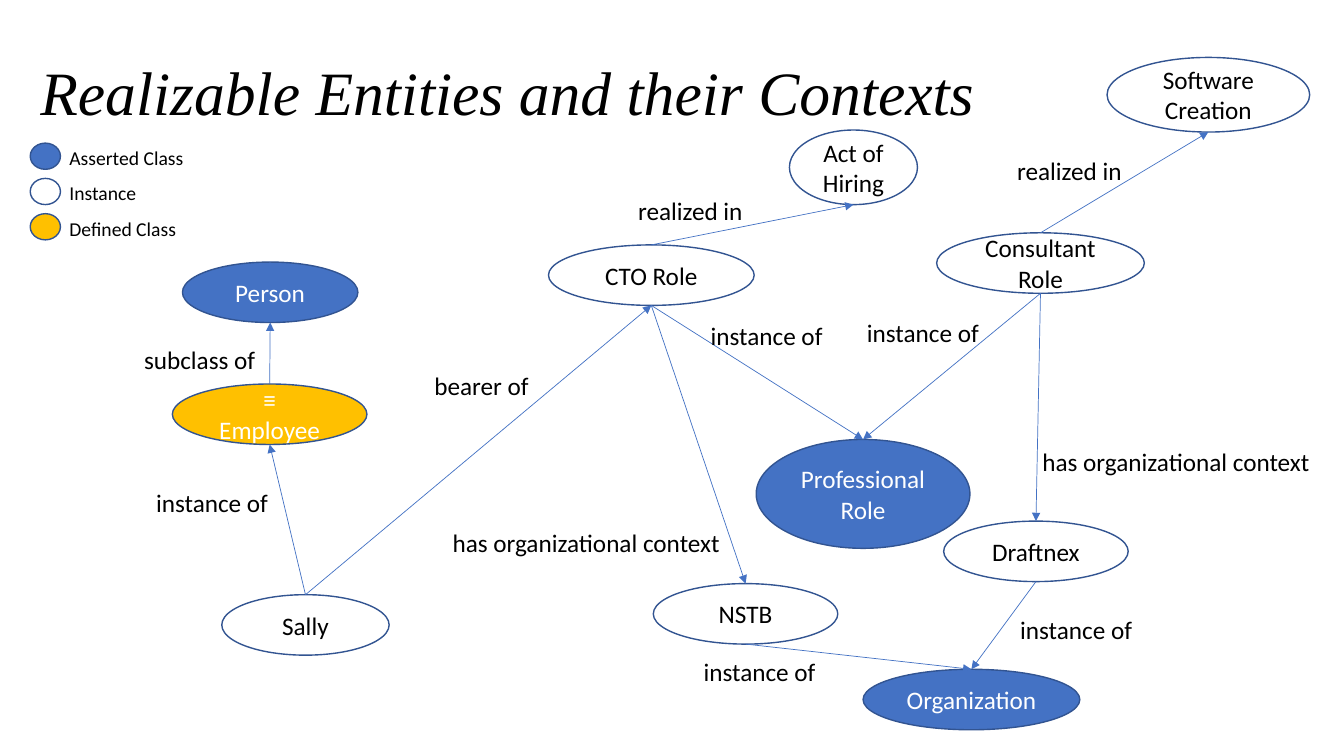
import pptx
import pptx.util
import pptx.dml.color
import pptx.enum.shapes
import pptx.enum.text
import pptx.oxml
import pptx.oxml.ns
from dataclasses import dataclass

Inches, Pt = pptx.util.Inches, pptx.util.Pt
RGB = pptx.dml.color.RGBColor.from_string
ALIGN, ANCHOR = pptx.enum.text.PP_ALIGN, pptx.enum.text.MSO_ANCHOR


@dataclass(frozen=True)
class Theme:
    asserted: str = "4472C4"
    instance: str = "FFFFFF"
    defined: str = "FFC000"
    outline: str = "325491"
    arrow: str = "4472C4"
    dark: str = "000000"
    light: str = "FFFFFF"
    title_font: str = "Times New Roman"
    body_font: str = "Calibri"
    title_size: int = 44
    body_size: int = 18
    legend_size: int = 14


T = Theme()

# Node name: fill, left, top, width, height
NODES = {
    "Sally": (T.instance, 2.2, 5.9, 1.66, 0.6),
    "≡ Employee": (T.defined, 1.71, 3.81, 1.93, 0.6),
    "Person": (T.asserted, 1.81, 2.6, 1.74, 0.6),
    "CTO Role": (T.instance, 5.44, 2.43, 2.04, 0.6),
    "Professional Role": (T.asserted, 7.5, 4.36, 2.12, 1.08),
    "Consultant Role": (T.instance, 9.29, 2.31, 2.06, 0.6),
    "NSTB": (T.instance, 6.48, 5.79, 1.83, 0.6),
    "Draftnex": (T.instance, 9.36, 5.17, 1.83, 0.6),
    "Organization": (T.asserted, 8.56, 6.64, 2.15, 0.6),
    "Software Creation": (T.instance, 10.98, 0.57, 2.01, 0.74),
    "Act of Hiring": (T.instance, 7.83, 1.29, 1.27, 0.74),
}

# Relation: source, target, label, label left, label top
RELATIONS = [
    ("Sally", "≡ Employee", "instance of", 1.45, 4.79),
    ("Sally", "CTO Role", "bearer of", 4.21, 3.62),
    ("≡ Employee", "Person", "subclass of", 1.33, 3.37),
    ("CTO Role", "Professional Role", "instance of", 6.95, 3.13),
    ("CTO Role", "NSTB", "has organizational context", 4.39, 5.18),
    ("CTO Role", "Act of Hiring", "realized in", 6.23, 1.89),
    ("Consultant Role", "Professional Role", "instance of", 8.5, 3.1),
    ("Consultant Role", "Draftnex", "has organizational context", 10.24, 4.38),
    ("Consultant Role", "Software Creation", "realized in", 9.99, 1.49),
    ("Draftnex", "Organization", "instance of", 10.02, 6.05),
    ("NSTB", "Organization", "instance of", 6.88, 6.46),
]

LABEL_WIDTHS = {"instance of": 1.33, "bearer of": 1.15, "subclass of": 1.32,
                "realized in": 1.25, "has organizational context": 2.88}

# Legend entry: name, fill, text width
LEGEND = [("Asserted Class", T.asserted, 1.34),
          ("Instance", T.instance, 0.87),
          ("Defined Class", T.defined, 1.27)]


def set_text(tf, text, size=T.body_size, font=T.body_font, color=T.dark,
             italic=False, align=ALIGN.LEFT, anchor=ANCHOR.TOP, wrap=True):
    tf.word_wrap = wrap
    tf.vertical_anchor = anchor
    p = tf.paragraphs[0]
    p.alignment = align
    r = p.add_run()
    r.text = text
    r.font.size, r.font.name, r.font.italic = Pt(size), font, italic
    r.font.color.rgb = RGB(color)


def add_label(s, text, x, y, w, h, size=T.body_size):
    sp = s.shapes.add_textbox(Inches(x), Inches(y), Inches(w), Inches(h))
    set_text(sp.text_frame, text, size=size, wrap=False)


def add_ellipse(s, fill, x, y, w, h):
    sp = s.shapes.add_shape(pptx.enum.shapes.MSO_SHAPE.OVAL,
                            Inches(x), Inches(y), Inches(w), Inches(h))
    sp.shadow.inherit = False
    sp.fill.solid()
    sp.fill.fore_color.rgb = RGB(fill)
    sp.line.color.rgb = RGB(T.outline)
    sp.line.width = Pt(1)
    return sp


def add_arrow(s, source, target):
    """Join the facing top and bottom centres of two nodes."""
    up = target.top < source.top
    start, end = (source, target) if up else (target, source)
    points = [(start.left + start.width // 2, start.top),
              (end.left + end.width // 2, end.top + end.height)]
    if not up:
        points.reverse()
    cx = s.shapes.add_connector(pptx.enum.shapes.MSO_CONNECTOR.STRAIGHT,
                                *points[0], *points[1])
    cx.line.color.rgb = RGB(T.arrow)
    cx.line.width = Pt(0.5)
    qn, sub = pptx.oxml.ns.qn, pptx.oxml.xmlchemy.OxmlElement
    tail = sub("a:tailEnd")
    tail.set("type", "triangle")
    cx.line._get_or_add_ln().append(tail)
    cx._element.find(qn("p:spPr")).append(sub("a:effectLst"))


def add_title(s, text, x, y, w, h):
    sp = s.shapes.title
    sp.left, sp.top, sp.width, sp.height = map(Inches, (x, y, w, h))
    set_text(sp.text_frame, text, size=T.title_size, font=T.title_font,
             italic=True, anchor=ANCHOR.MIDDLE)


def add_legend(s, x, y, pitch):
    for i, (name, fill, w) in enumerate(LEGEND):
        top = y + i * pitch
        add_ellipse(s, fill, x, top, 0.3, 0.26)
        add_label(s, name, x + 0.29, top - 0.02, w, 0.34, size=T.legend_size)


def add_graph(s, x=0, y=0):
    # Nodes
    shapes = {}
    for name, (fill, left, top, w, h) in NODES.items():
        sp = shapes[name] = add_ellipse(s, fill, x + left, y + top, w, h)
        color = T.dark if fill == T.instance else T.light
        set_text(sp.text_frame, name, color=color,
                 align=ALIGN.CENTER, anchor=ANCHOR.MIDDLE)
    # Relations
    for source, target, text, left, top in RELATIONS:
        add_arrow(s, shapes[source], shapes[target])
        add_label(s, text, x + left, y + top, LABEL_WIDTHS[text], 0.4)


def main():
    prs = pptx.Presentation()
    prs.slide_width, prs.slide_height = Inches(13.33), Inches(7.5)
    s = prs.slides.add_slide(prs.slide_layouts[5])
    add_title(s, "Realizable Entities and their Contexts", 0.3, 0.4, 11.13, 1)
    add_graph(s)
    add_legend(s, 0.3, 1.42, 0.35)
    prs.save("out.pptx")


if __name__ == "__main__":
    main()
